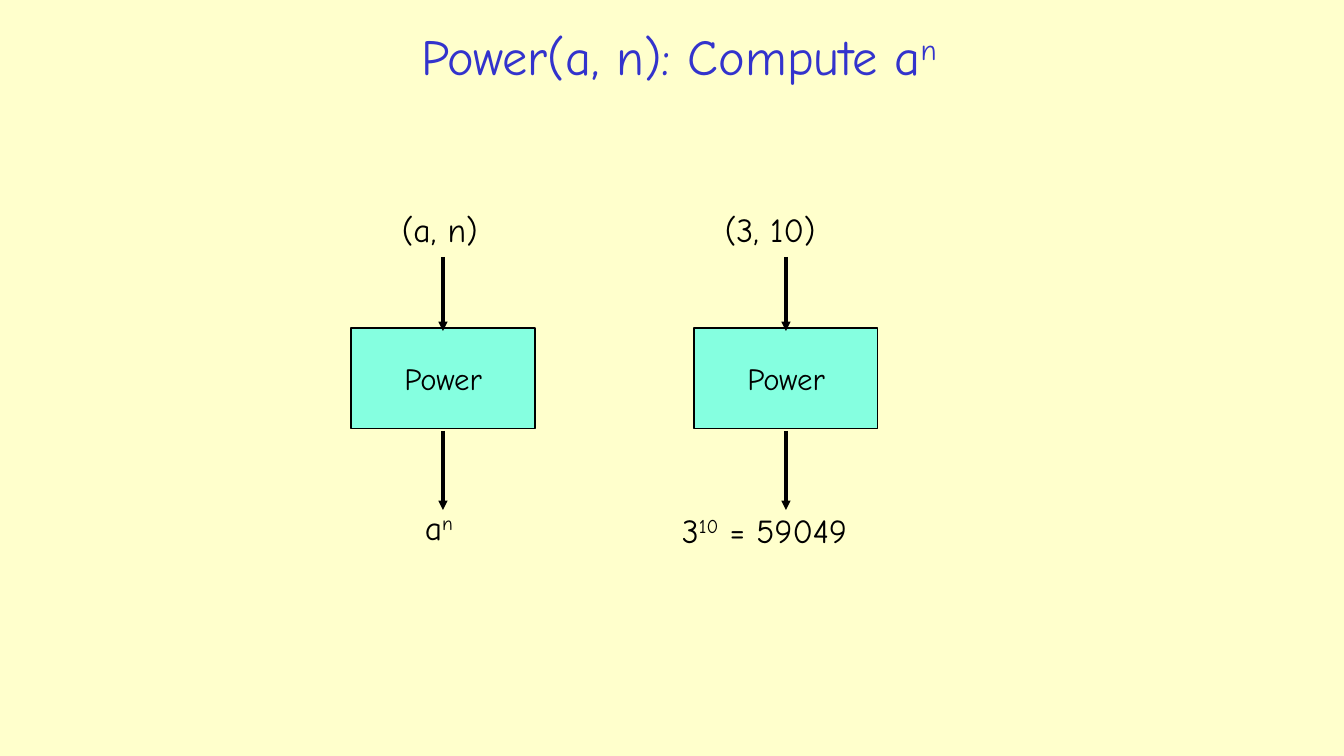
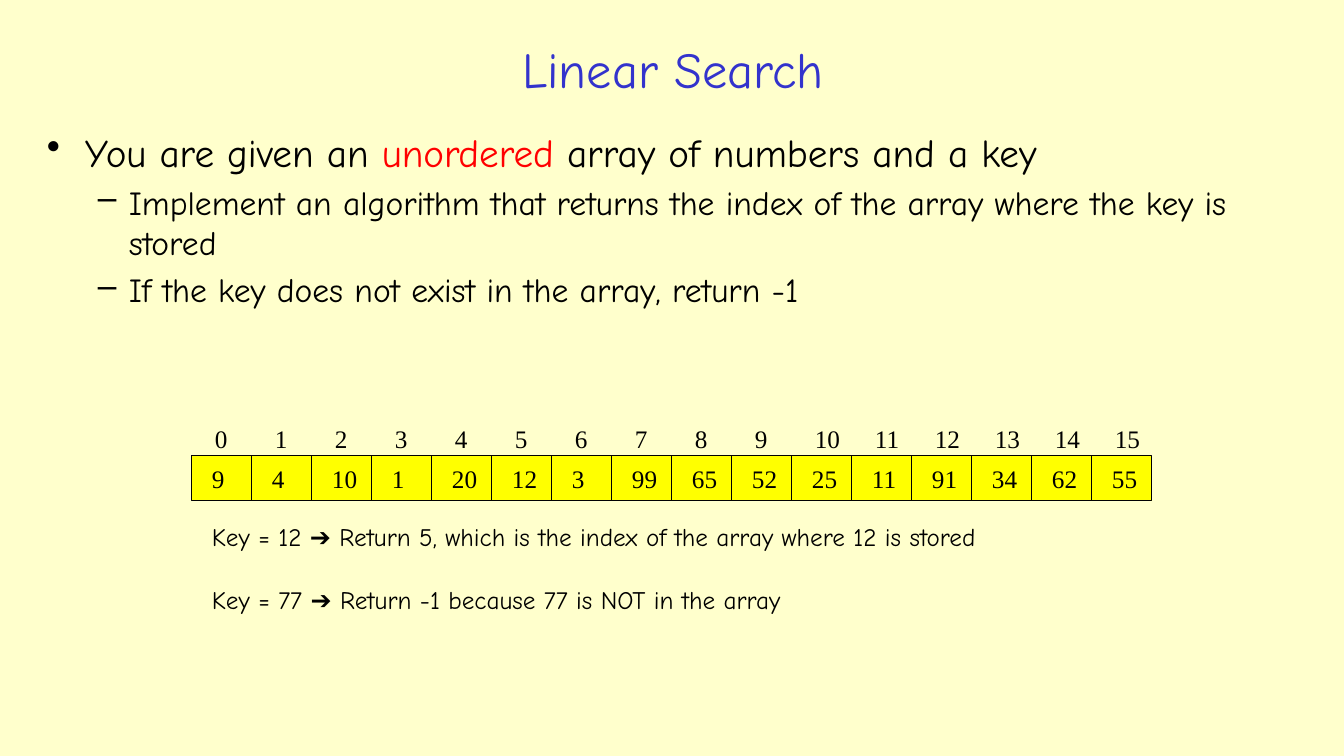
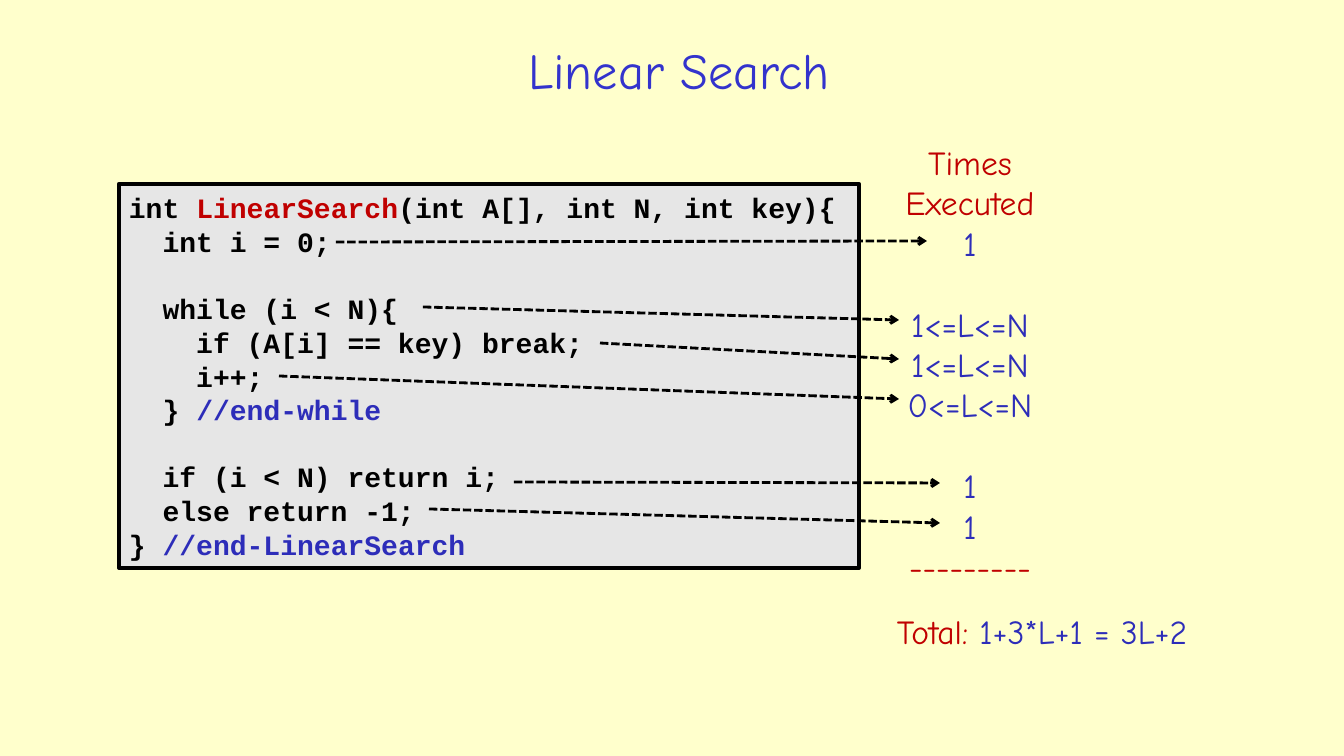
from lxml import etree
from pptx import Presentation, util as u
from pptx.dml.color import RGBColor
from pptx.enum import dml, shapes, text
from pptx.oxml.ns import qn

PX = 12192000 / 1344
COLORS = {
    "background": "FFFFCC", "title": "3333CC", "black": "000000",
    "box": "85FFE0", "cell": "FFFF00", "code": "E6E6E6",
    "unordered": "FF0000", "red": "C00000", "blue": "2D2DB9",
}
COLORS = {name: RGBColor.from_string(value) for name, value in COLORS.items()}
BODY_FONT, CODE_FONT, ARRAY_FONT = "Comic Neue", "Courier New", "Times New Roman"
LEFT, CENTER = text.PP_ALIGN.LEFT, text.PP_ALIGN.CENTER
TOP, MIDDLE = text.MSO_ANCHOR.TOP, text.MSO_ANCHOR.MIDDLE


def px(*lengths):
    return [u.Emu(round(length * PX)) for length in lengths]


def write(shape, *runs, size=24, font=BODY_FONT, color="black", bold=False, align=LEFT,
          anchor=TOP, before=0, pitch=None, bullet=None, indent=(0, 0)):
    """Add one paragraph; a run is a string or a (string, colour name or "raised") pair."""
    frame = shape.text_frame
    frame.word_wrap = True
    frame.auto_size = text.MSO_AUTO_SIZE.NONE
    frame.vertical_anchor = anchor
    paragraph = frame.paragraphs[0] if not frame.text else frame.add_paragraph()
    if bullet:
        properties = paragraph._p.get_or_add_pPr()
        margin, first = px(*indent)
        properties.set("marL", str(margin))
        properties.set("indent", str(first))
        etree.SubElement(properties, qn("a:buChar")).set("char", bullet)
    paragraph.alignment = align
    paragraph.space_before = u.Pt(before)
    if pitch:
        paragraph.line_spacing = u.Pt(pitch)
    for item in runs:
        words, style = (item, color) if isinstance(item, str) else item
        run = paragraph.add_run()
        run.text = words
        run.font.size = u.Pt(size)
        run.font.name = font
        run.font.bold = bold
        run.font.color.rgb = COLORS[color if style == "raised" else style]
        if style == "raised":
            run._r.get_or_add_rPr().set("baseline", "30000")


presentation = Presentation()
presentation.slide_width, presentation.slide_height = px(1344, 756)
background = presentation.slide_master.background.fill
background.solid()
background.fore_color.rgb = COLORS["background"]

titles = [
    (["Power(a, n): Compute a", ("n", "raised")], (216, 18, 926, 74)),
    (["Linear Search"], (206, 26, 934, 84)),
    (["Linear Search"], (198, 15, 962, 109)),
]
slides = []
for runs, place in titles:
    slide = presentation.slides.add_slide(presentation.slide_layouts[5])
    title = slide.shapes.title
    title.left, title.top, title.width, title.height = px(*place)
    write(title, *runs, size=36, color="title", align=CENTER, anchor=MIDDLE)
    slides.append(slide)
power_slide, search_slide, code_slide = slides

# Rectangles and arrows of all slides, as (slide, place, fill, line width)
values = [9, 4, 10, 1, 20, 12, 3, 99, 65, 52, 25, 11, 91, 34, 62, 55]
ARRAY_LEFT, CELL = 192, 60
cell_lefts = [ARRAY_LEFT + CELL * index for index in range(len(values))]
BOX_LEFTS = (351, 694)

rectangles = [(power_slide, (left, 328, 184, 101), "box", 0.75) for left in BOX_LEFTS]
rectangles += [(search_slide, (left, 456, CELL, 45), "cell", 0.75) for left in cell_lefts]
rectangles.append((code_slide, (119, 184, 740, 384), "code", 3))
drawn = []
for slide, place, fill, width in rectangles:
    shape = slide.shapes.add_shape(shapes.MSO_SHAPE.RECTANGLE, *px(*place))
    shape.shadow.inherit = False
    shape.fill.solid()
    shape.fill.fore_color.rgb = COLORS[fill]
    shape.line.color.rgb = COLORS["black"]
    shape.line.width = u.Pt(width)
    drawn.append(shape)
power_boxes, cells, code_box = drawn[:2], drawn[2:-1], drawn[-1]

arrows = [(power_slide, (left + 92, top, left + 92, bottom), 2.25, "triangle")
          for left in BOX_LEFTS for top, bottom in ((257, 331), (431, 510))]
arrows += [(code_slide, ends, 2, "arrow") for ends in (
    (336, 242, 927, 241), (423, 307, 899, 320), (600, 343, 899, 359),
    (279, 376, 899, 399), (514, 482, 940, 483), (429, 509, 940, 523))]
for slide, ends, width, head in arrows:
    arrow = slide.shapes.add_connector(shapes.MSO_CONNECTOR.STRAIGHT, *px(*ends))
    arrow.line.color.rgb = COLORS["black"]
    arrow.line.width = u.Pt(width)
    if slide is code_slide:
        arrow.line.dash_style = dml.MSO_LINE.SQUARE_DOT
    etree.SubElement(arrow.line._get_or_add_ln(), qn("a:tailEnd")).set("type", head)
    etree.SubElement(arrow._element.spPr, qn("a:effectLst"))

# Power as a black box
for box in power_boxes:
    write(box, "Power", size=22, align=CENTER, anchor=MIDDLE)
for place, runs in (
    ((392, 204, 102, 51), ["(a, n)"]),
    ((415, 502, 53, 51), ["a", ("n", "raised")]),
    ((715, 204, 142, 51), ["(3, 10)"]),
    ((672, 505, 208, 51), ["3", ("10", "raised"), " = 59049"]),
):
    write(power_slide.shapes.add_textbox(*px(*place)), *runs)

# Linear search: the problem and a sample array
problem = search_slide.shapes.add_textbox(*px(37, 123, 1268, 237))
write(problem, "You are given an ", ("unordered ", "unordered"), "array of numbers and a key",
      size=28, bullet="•", indent=(38, -38))
for line in (
    "Implement an algorithm that returns the index of the array where the key is stored",
    "If the key does not exist in the array, return -1",
):
    write(problem, line, before=4.8, bullet="–", indent=(82, -31))

for index, (cell, value) in enumerate(zip(cells, values)):
    cell.text_frame.margin_left, cell.text_frame.margin_right = px(20, 0)
    write(cell, str(value), size=18, font=ARRAY_FONT, anchor=MIDDLE)
    label = search_slide.shapes.add_textbox(*px(cell_lefts[index] + 13, 418, CELL, 40))
    write(label, str(index), size=18, font=ARRAY_FONT)

for top, line in (
    (516, "Key = 12 ➔ Return 5, which is the index of the array where 12 is stored"),
    (579, "Key = 77 ➔ Return -1 because 77 is NOT in the array"),
):
    write(search_slide.shapes.add_textbox(*px(202, top, 923, 40)), line, size=18)

# Linear search: the code and its running time
CODE_PITCH, COUNT_PITCH = 24, 29
code_box.text_frame.margin_top = px(7)[0]
for gap, runs in (
    (0, ["int ", ("LinearSearch", "red"), "(int A[], int N, int key){"]),
    (0, ["  int i = 0;"]),
    (1, ["  while (i < N){"]),
    (0, ["    if (A[i] == key) break;"]),
    (0, ["    i++;"]),
    (0, ["  } ", ("//end-while", "blue")]),
    (1, ["  if (i < N) return i;"]),
    (0, ["  else return -1;"]),
    (0, ["} ", ("//end-LinearSearch", "blue")]),
):
    write(code_box, *runs, size=20, font=CODE_FONT, bold=True,
          before=gap * CODE_PITCH, pitch=CODE_PITCH)

counts = code_slide.shapes.add_textbox(*px(859, 137, 222, 458))
for gap, line, color in (
    (0, "Times Executed", "red"),
    (0, "1", "blue"),
    (1, "1<=L<=N", "blue"),
    (0, "1<=L<=N", "blue"),
    (0, "0<=L<=N", "blue"),
    (1, "1", "blue"),
    (0, "1", "blue"),
    (0, "---------", "red"),
):
    write(counts, line, color=color, align=CENTER, before=gap * COUNT_PITCH)

total = code_slide.shapes.add_textbox(*px(863, 606, 358, 59))
write(total, ("Total: ", "red"), ("1+3*L+1 = 3L+2", "blue"), align=CENTER)

presentation.save("out.pptx")
